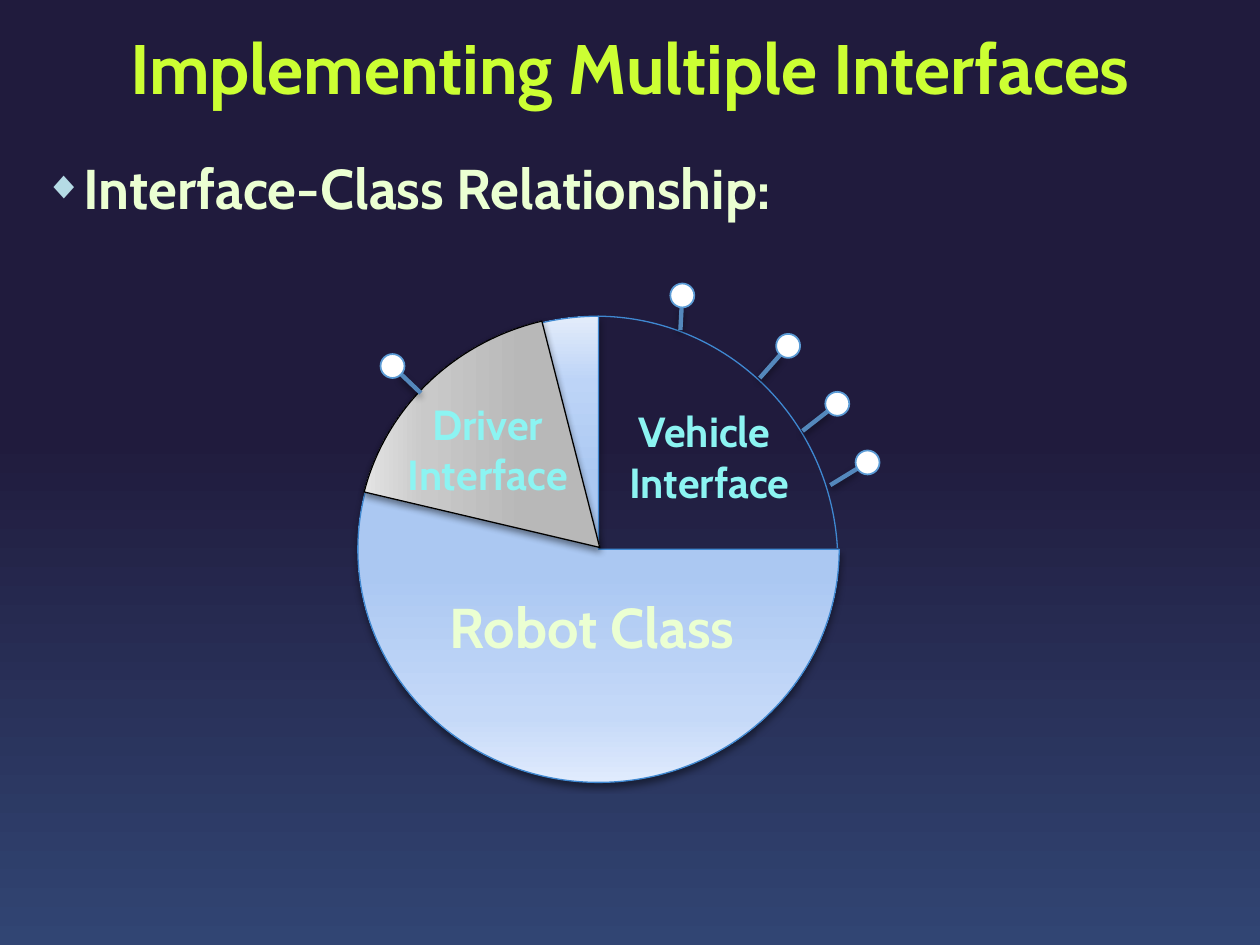
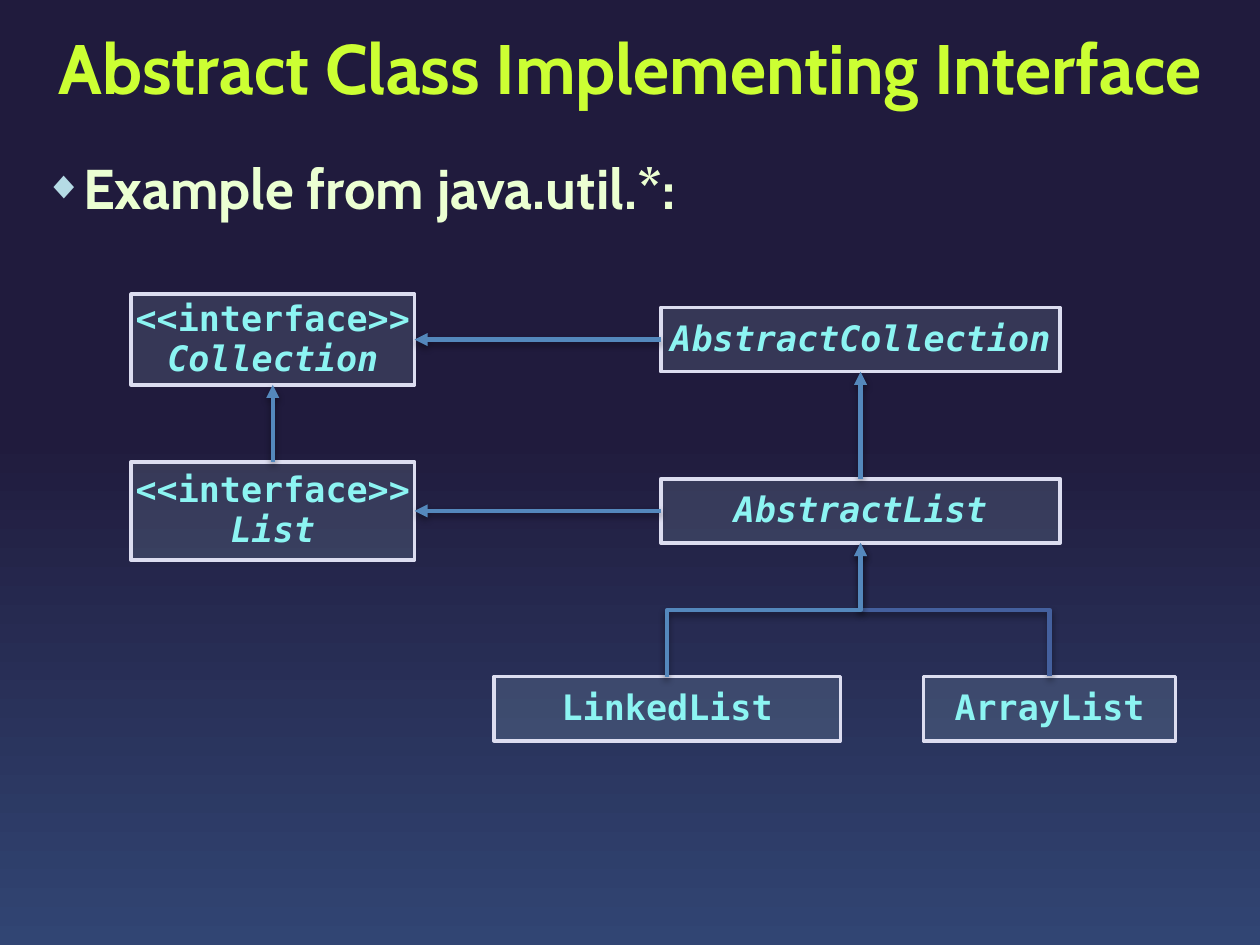
from dataclasses import dataclass
from math import hypot

from lxml.etree import SubElement
from pptx import Presentation
from pptx.dml.color import RGBColor
from pptx.enum.shapes import MSO_CONNECTOR, MSO_SHAPE
from pptx.enum.text import MSO_ANCHOR, MSO_AUTO_SIZE, PP_ALIGN
from pptx.oxml.ns import qn
from pptx.util import Inches, Pt

COLUMNS, ROWS = 100, 75
TOP, LEFT, BOTTOM, RIGHT = range(4)


@dataclass(frozen=True)
class Theme:
    text_font: str = "Cabin"
    code_font: str = "DejaVu Sans Mono"
    title_size: int = 40
    body_size: int = 32
    label_size: int = 24
    code_size: int = 20
    title: str = "CCFF33"
    body: str = "EBFFD2"
    label: str = "8CF4F2"
    pale: str = "B5DBE5"
    box_edge: str = "DCDDF0"
    rim: str = "3F88D1"
    knob: str = "FFFFFF"
    knob_edge: str = "5B9BD5"
    link: str = "5488BC"
    dark_link: str = "44609E"
    shade: str = "000000"
    backdrop: tuple = ((0, "314573"), (54, "201B3D"))
    blue: tuple = ((0, "E0EBFD"), (14, "C5D9F8"), (45, "ABC8F2"),
                   (65, "ABC8F2"), (86, "BDD4F7"), (100, "E3ECFA"))
    grey: tuple = ((0, "E7E7E7"), (14, "D1D1D1"), (45, "B8B8B8"),
                   (65, "B8B8B8"), (86, "C9C9C9"), (100, "E7E7E7"))


def add_xml(parent, tag, **attributes):
    return SubElement(parent, qn(tag), {key: str(value) for key, value in attributes.items()})


def apply(target, formats):
    for name, value in formats.items():
        setattr(target, name, value)


class Painter:
    def __init__(self, theme):
        self.theme = theme
        self.deck = Presentation()
        apply(self.deck, {"slide_width": Inches(10), "slide_height": Inches(7.5)})
        self.column = self.deck.slide_width / COLUMNS
        self.row = self.deck.slide_height / ROWS
        master = self.deck.slide_master
        self.gradient(master.background.fill, master.element, theme.backdrop)

    def across(self, columns):
        return round(columns * self.column)

    def down(self, rows):
        return round(rows * self.row)

    def area(self, left, top, width, height):
        return self.across(left), self.down(top), self.across(width), self.down(height)

    def gradient(self, fill, element, stops):
        fill.gradient()
        fill.gradient_angle = 90
        stop_list = element.find(".//" + qn("a:gsLst"))
        stop_list.clear()
        for position, color in stops:
            stop = add_xml(stop_list, "a:gs", pos=position * 1000)
            add_xml(stop, "a:srgbClr", val=color)

    def outline(self, line, color, width):
        line.color.rgb = RGBColor.from_string(color)
        line.width = Pt(width)

    def shadow(self, element):
        properties = element.spPr
        effects = properties.find(qn("a:effectLst"))
        if effects is None:
            effects = add_xml(properties, "a:effectLst")
        outer = add_xml(effects, "a:outerShdw", blurRad=Pt(4), dist=Pt(2),
                        dir=90 * 60000, rotWithShape=0)
        color = add_xml(outer, "a:srgbClr", val=self.theme.shade)
        add_xml(color, "a:alpha", val=43000)

    def add_lines(self, frame, lines, size, color, font=None, spacing=None):
        for index, (text, italic) in enumerate(lines):
            para = frame.paragraphs[0] if index == 0 else frame.add_paragraph()
            apply(para, {"alignment": PP_ALIGN.CENTER, "line_spacing": spacing})
            span = para.add_run()
            span.text = text
            apply(span.font, {"name": font or self.theme.text_font, "size": Pt(size),
                              "bold": True, "italic": italic})
            span.font.color.rgb = RGBColor.from_string(color)

    def placeholder(self, box, area, anchor):
        apply(box, dict(zip(("left", "top", "width", "height"), self.area(*area))))
        apply(box.text_frame, {"auto_size": MSO_AUTO_SIZE.NONE, "word_wrap": True,
                               "vertical_anchor": anchor})
        return box.text_frame

    def page(self, title, point):
        theme = self.theme
        self.slide = self.deck.slides.add_slide(self.deck.slide_layouts[1])
        self.shapes = self.slide.shapes
        heading = self.placeholder(self.shapes.title, (2.5, 0.8, 95, 10), MSO_ANCHOR.MIDDLE)
        self.add_lines(heading, [(title, False)], theme.title_size, theme.title, spacing=Pt(40))
        body = self.placeholder(self.slide.placeholders[1], (2.5, 11.7, 95, 12), MSO_ANCHOR.TOP)
        self.add_lines(body, [(point, False)], theme.body_size, theme.body, spacing=Pt(38))
        para = body.paragraphs[0]
        apply(para, {"alignment": PP_ALIGN.LEFT, "space_before": Pt(6), "space_after": Pt(6)})
        properties = para._p.get_or_add_pPr()
        properties.set("marL", str(Inches(0.31)))
        properties.set("indent", str(-Inches(0.31)))
        add_xml(add_xml(properties, "a:buClr"), "a:srgbClr", val=theme.pale)
        add_xml(properties, "a:buSzPct", val=70000)
        add_xml(properties, "a:buChar", char="◆")

    def shape(self, kind, area, edge, width):
        shape = self.shapes.add_shape(kind, *self.area(*area))
        shape.shadow.inherit = False
        self.outline(shape.line, edge, width)
        return shape

    def sector(self, kind, area, angles, edge, stops=None, rotation=0):
        shape = self.shape(kind, area, edge, 0.75)
        shape.rotation = rotation
        for index, angle in enumerate(angles):
            shape.adjustments[index] = angle * 0.6
        if stops:
            self.gradient(shape.fill, shape.element, stops)
            self.shadow(shape.element)
        else:
            shape.fill.background()
        return shape

    def label(self, area, *lines):
        frame = self.shapes.add_textbox(*self.area(*area)).text_frame
        frame.word_wrap = True
        self.add_lines(frame, [(line, False) for line in lines],
                       self.theme.label_size, self.theme.label)

    def connector(self, kind, ends, color):
        line = self.shapes.add_connector(kind, *ends)
        self.outline(line.line, color, 2.5)
        self.shadow(line.element)
        return line

    def pin(self, rim_x, rim_y, knob_x, knob_y, radius=0.95):
        share = 1 - radius / hypot(knob_x - rim_x, knob_y - rim_y)
        tip_x = rim_x + share * (knob_x - rim_x)
        tip_y = rim_y + share * (knob_y - rim_y)
        self.connector(MSO_CONNECTOR.STRAIGHT,
                       self.area(rim_x, rim_y, tip_x, tip_y), self.theme.link)
        area = (knob_x - radius, knob_y - radius, 2 * radius, 2 * radius)
        knob = self.shape(MSO_SHAPE.OVAL, area, self.theme.knob_edge, 1)
        knob.fill.solid()
        knob.fill.fore_color.rgb = RGBColor.from_string(self.theme.knob)

    def type_box(self, center_x, center_y, width, height, *lines):
        theme = self.theme
        area = (center_x - width / 2, center_y - height / 2, width, height)
        box = self.shape(MSO_SHAPE.RECTANGLE, area, theme.box_edge, 2)
        box.fill.solid()
        box.fill.fore_color.rgb = RGBColor.from_string(theme.pale)
        color = box.element.spPr.find(qn("a:solidFill") + "/" + qn("a:srgbClr"))
        add_xml(color, "a:alpha", val=15000)
        apply(box.text_frame, {"word_wrap": False, "vertical_anchor": MSO_ANCHOR.MIDDLE})
        self.add_lines(box.text_frame, lines, theme.code_size, theme.label,
                       theme.code_font, 0.95)
        return box

    def arrow(self, start, start_side, end, end_side, color=None, bent=False):
        kind = MSO_CONNECTOR.ELBOW if bent else MSO_CONNECTOR.STRAIGHT
        line = self.connector(kind, (0, 0, 0, 0), color or self.theme.link)
        line.begin_connect(start, start_side)
        line.end_connect(end, end_side)
        add_xml(line.element.spPr.find(qn("a:ln")), "a:tailEnd", type="triangle")
        if bent:
            self.turn_upward(line)

    def turn_upward(self, line):
        run, rise = line.end_x - line.begin_x, line.begin_y - line.end_y
        center_x = (line.begin_x + line.end_x) // 2
        center_y = (line.begin_y + line.end_y) // 2
        apply(line, {"left": center_x - rise // 2, "top": center_y - abs(run) // 2,
                     "width": rise, "height": abs(run)})
        frame = line.element.spPr.find(qn("a:xfrm"))
        turns = {"rot": 270 * 60000, "flipH": 0, "flipV": int(run < 0)}
        for name, value in turns.items():
            frame.set(name, str(value))


def draw_relationship(painter):
    theme = painter.theme
    painter.page("Implementing Multiple Interfaces", "Interface-Class Relationship:")
    robot = painter.sector(MSO_SHAPE.PIE, (28.4, 25.1, 38.2, 37), (0, 270),
                           theme.rim, theme.blue)
    apply(robot.text_frame, {"margin_top": painter.down(12.7), "word_wrap": True,
                             "vertical_anchor": MSO_ANCHOR.MIDDLE})
    painter.add_lines(robot.text_frame, [("Robot Class ", False)], theme.body_size, theme.body)
    painter.sector(MSO_SHAPE.ARC, (28.2, 25.1, 38.3, 39), (270.23, 356.69), theme.rim)
    painter.sector(MSO_SHAPE.PIE, (29.1, 24.2, 37, 38.5), (283.25, 345.65),
                   theme.shade, theme.grey, 270)
    painter.label((46.4, 31.7, 19.8, 9.1), "Vehicle ", "Interface")
    painter.label((28.8, 31.1, 19.8, 9.1), "Driver", "Interface")
    for ends in ((65.9, 38.5, 68.85, 36.7), (63.7, 34.2, 66.45, 32.05),
                 (54, 26.2, 54.15, 23.45), (60.3, 30, 62.55, 27.45),
                 (33.4, 31.2, 31.15, 29.05)):
        painter.pin(*ends)


def draw_hierarchy(painter):
    painter.page("Abstract Class Implementing Interface", "Example from java.util.*:")
    stereotype = ("<<interface>>", False)
    left, right = 21.65, 68.3
    upper, middle, lower = 26.95, 40.55, 56.25
    collection = painter.type_box(left, upper, 22.5, 7.2, stereotype, ("Collection", True))
    listing = painter.type_box(left, middle, 22.5, 7.8, stereotype, ("List", True))
    abstract_collection = painter.type_box(right, upper, 31.7, 5.1, ("AbstractCollection", True))
    abstract_list = painter.type_box(right, middle, 31.7, 5.1, ("AbstractList", True))
    linked_list = painter.type_box(52.95, lower, 27.5, 5.1, ("LinkedList", False))
    array_list = painter.type_box(83.3, lower, 20, 5.1, ("ArrayList", False))
    painter.arrow(array_list, TOP, abstract_list, BOTTOM, painter.theme.dark_link, bent=True)
    painter.arrow(linked_list, TOP, abstract_list, BOTTOM, bent=True)
    painter.arrow(listing, TOP, collection, BOTTOM)
    painter.arrow(abstract_list, TOP, abstract_collection, BOTTOM)
    painter.arrow(abstract_collection, LEFT, collection, RIGHT)
    painter.arrow(abstract_list, LEFT, listing, RIGHT)


def main():
    painter = Painter(Theme())
    draw_relationship(painter)
    draw_hierarchy(painter)
    painter.deck.save("out.pptx")


if __name__ == "__main__":
    main()
